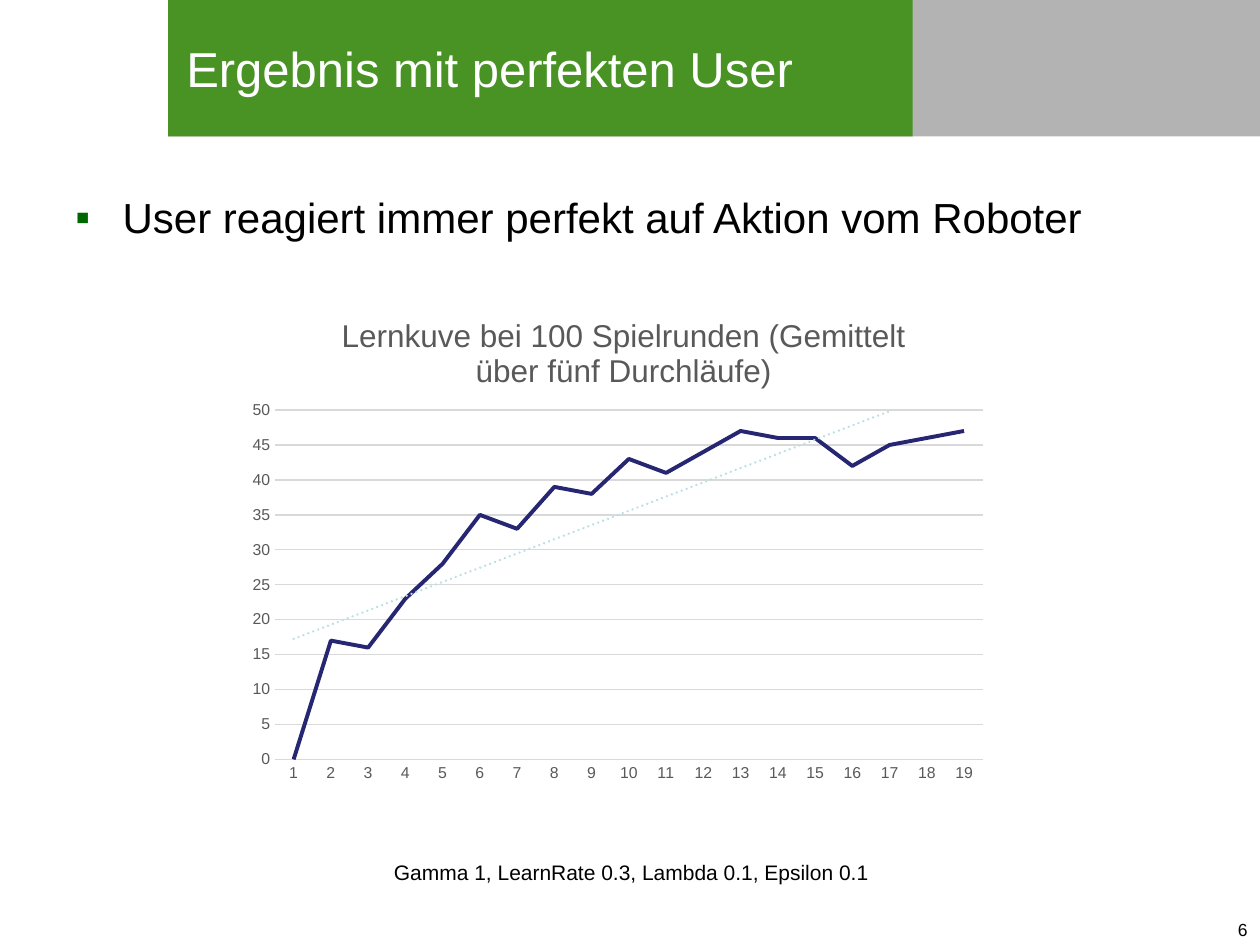
from pptx import Presentation
from pptx.chart.data import CategoryChartData
from pptx.dml.color import RGBColor
from pptx.enum.chart import XL_CHART_TYPE, XL_TICK_MARK
from pptx.enum.shapes import MSO_SHAPE
from pptx.enum.text import MSO_ANCHOR, PP_ALIGN
from pptx.oxml import parse_xml
from pptx.oxml.ns import nsdecls
from pptx.util import Pt

LINE, NO_TICK = XL_CHART_TYPE.LINE, XL_TICK_MARK.NONE
RECT = MSO_SHAPE.RECTANGLE
TOP, MIDDLE = MSO_ANCHOR.TOP, MSO_ANCHOR.MIDDLE
LEFT, RIGHT = PP_ALIGN.LEFT, PP_ALIGN.RIGHT

FONT = "Arial"
COLORS = {
    "green": "489324", "gray": "B3B3B3", "white": "FFFFFF", "black": "000000",
    "bullet": "006600", "label": "595959", "grid": "D9D9D9",
    "curve": "262673", "trend": "BBE0E3",
}


def rgb(name):
    return RGBColor.from_string(COLORS[name])


class Deck:
    """Holds the style and the current slide."""

    def __init__(self, width, height):
        self.prs = Presentation()
        self.prs.slide_width, self.prs.slide_height = Pt(width), Pt(height)
        self.slide = self.prs.slides.add_slide(self.prs.slide_layouts[6])

    def style(self, font, size, color):
        font.name, font.size = FONT, Pt(size)
        font.bold = False
        font.color.rgb = rgb(color)

    def rect(self, x, y, w, h, color):
        sp = self.slide.shapes.add_shape(RECT, Pt(x), Pt(y), Pt(w), Pt(h))
        sp.shadow.inherit = False
        sp.fill.solid()
        sp.fill.fore_color.rgb = rgb(color)
        sp.line.fill.background()

    def text(self, x, y, w, h, text, size, color="black", align=LEFT, anchor=TOP, top=3.6):
        sp = self.slide.shapes.add_textbox(Pt(x), Pt(y), Pt(w), Pt(h))
        tf = sp.text_frame
        tf.word_wrap, tf.vertical_anchor, tf.margin_top = True, anchor, Pt(top)
        tf.text = text
        p = tf.paragraphs[0]
        p.alignment = align
        self.style(p.runs[0].font, size, color)
        return p

    def bullet(self, p, indent, char, color):
        pPr = p._p.get_or_add_pPr()
        pPr.set("marL", str(Pt(indent)))
        pPr.set("indent", str(Pt(-indent)))
        ns = nsdecls("a")
        pPr.append(parse_xml(f'<a:buClr {ns}><a:srgbClr val="{COLORS[color]}"/></a:buClr>'))
        pPr.append(parse_xml(f'<a:buFont {ns} typeface="{FONT}"/>'))
        pPr.append(parse_xml(f'<a:buChar {ns} char="{char}"/>'))

    def layout(self, **parts):
        tags = "".join(f'<c:{tag} val="{val}"/>' for tag, val in parts.items())
        return parse_xml(f'<c:layout {nsdecls("c")}><c:manualLayout>{tags}'
                         '</c:manualLayout></c:layout>')

    def trendline(self, series, color, width):
        trend = parse_xml(
            f'<c:trendline {nsdecls("c", "a")}><c:spPr><a:ln w="{Pt(width)}" cap="rnd">'
            f'<a:solidFill><a:srgbClr val="{COLORS[color]}"/></a:solidFill>'
            '<a:prstDash val="sysDot"/></a:ln></c:spPr>'
            '<c:trendlineType val="linear"/><c:dispRSqr val="0"/><c:dispEq val="0"/>'
            '</c:trendline>')
        series._element.find("{*}cat").addprevious(trend)

    def line_chart(self, x, y, w, h, title, values, top, step):
        data = CategoryChartData()
        data.categories = [str(i) for i in range(1, len(values) + 1)]
        data.add_series("Series 1", values)
        chart = self.slide.shapes.add_chart(LINE, Pt(x), Pt(y), Pt(w), Pt(h), data).chart
        self.style(chart.font, 10, "black")
        chart.has_legend = False

        # Title and plot area
        chart.has_title = True
        tf = chart.chart_title.text_frame
        tf.text = title
        self.style(tf.paragraphs[0].runs[0].font, 18, "label")
        title_el = chart.chart_title._element
        for old in title_el.findall("{*}layout"):
            title_el.remove(old)
        title_el.find("{*}tx").addnext(
            self.layout(xMode="edge", yMode="edge", x=0.13, y=0.05))
        plot_el = chart._chartSpace.chart.plotArea
        for old in plot_el.findall("{*}layout"):
            plot_el.remove(old)
        plot_el.insert(0, self.layout(layoutTarget="inner", xMode="edge", yMode="edge",
                                      x=0.05, y=0.25, w=0.93, h=0.69))

        # Axes
        cat, val = chart.category_axis, chart.value_axis
        for axis in (cat, val):
            axis.major_tick_mark = axis.minor_tick_mark = NO_TICK
            self.style(axis.tick_labels.font, 9, "label")
        val.minimum_scale, val.maximum_scale, val.major_unit = 0, top, step
        val.has_major_gridlines = True
        val.format.line.fill.background()
        for line in (cat.format.line, val.major_gridlines.format.line):
            line.color.rgb, line.width = rgb("grid"), Pt(0.75)

        # Curve and trend
        series = chart.plots[0].series[0]
        series.smooth = False
        series.format.line.color.rgb = rgb("curve")
        series.format.line.width = Pt(2.25)
        self.trendline(series, "trend", 1.5)


deck = Deck(720, 540)

# Header band
deck.rect(96, 0, 624, 78, "gray")
deck.rect(96, 0, 425.5, 78, "green")
deck.text(99.4, 0, 422.6, 78, "Ergebnis mit perfekten User", 28, "white", anchor=MIDDLE)

# Statement
statement = deck.text(36, 106, 648, 376.5,
                      "User reagiert immer perfekt auf Aktion vom Roboter", 24)
deck.bullet(statement, 27, "▪", "bullet")

# Page number and parameters
deck.text(570, 498, 150, 36, "6", 10, align=RIGHT, top=27)
deck.text(218, 487.5, 326, 21.6, "Gamma 1, LearnRate 0.3, Lambda 0.1, Epsilon 0.1", 12)

# Learning curve
deck.line_chart(135.4, 162, 434.9, 289.4,
                "Lernkuve bei 100 Spielrunden (Gemittelt über fünf Durchläufe)",
                [0, 17, 16, 23, 28, 35, 33, 39, 38, 43, 41, 44, 47, 46, 46, 42, 45, 46, 47],
                top=50, step=5)

deck.prs.save("out.pptx")
